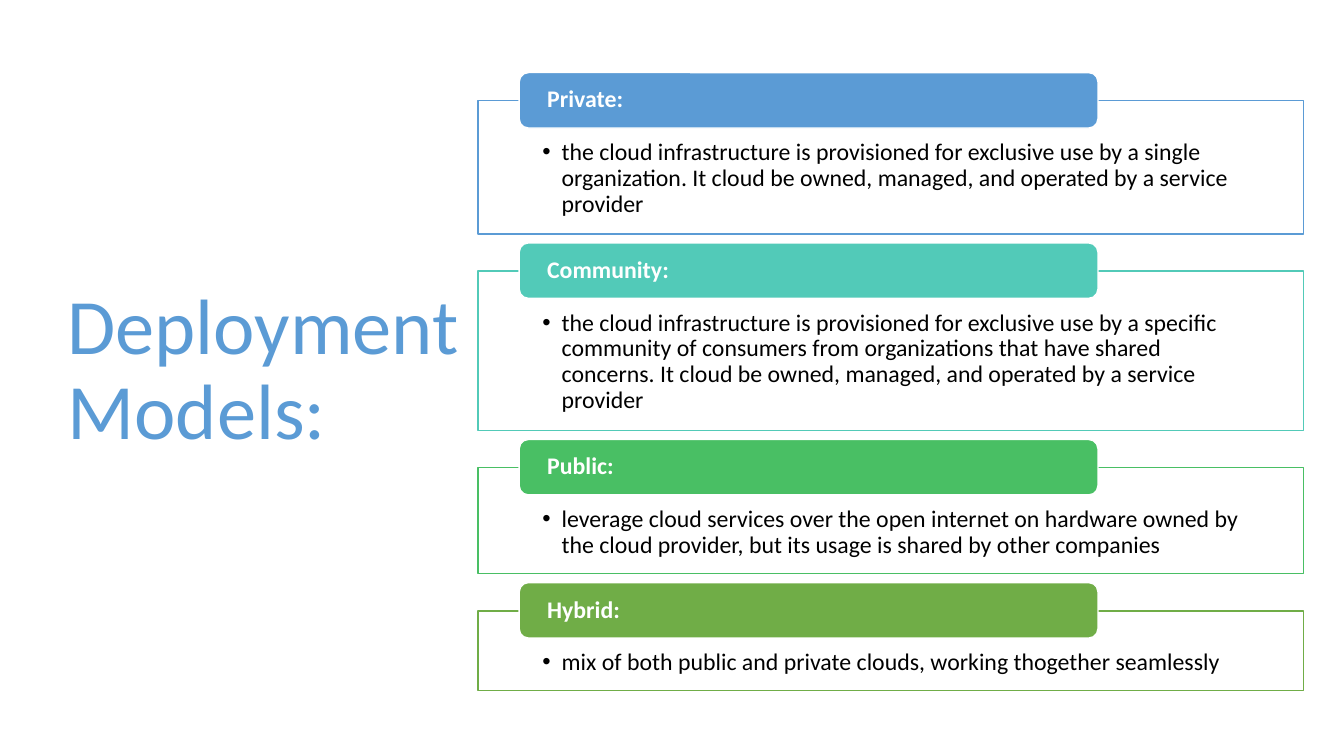
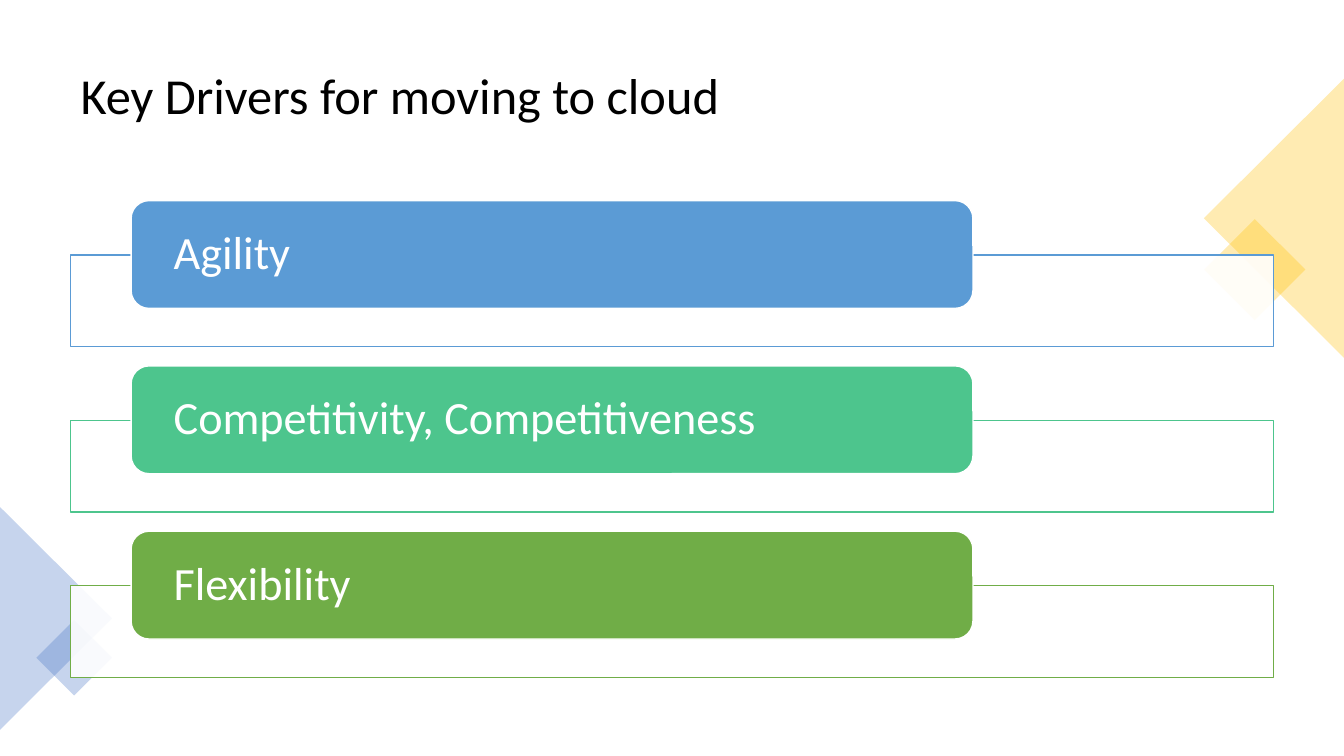
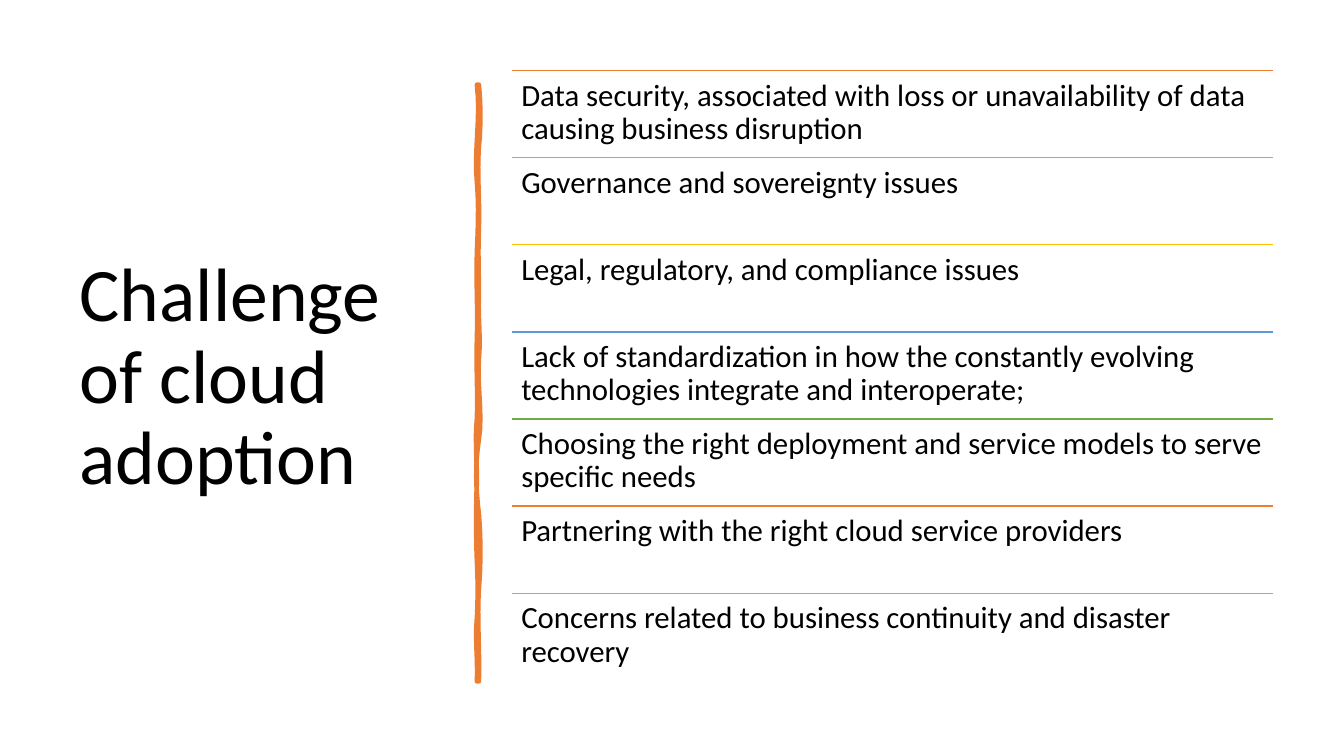
from lxml import etree
from pptx import Presentation
from pptx.dml.color import RGBColor
from pptx.enum import shapes, text
from pptx.oxml import ns
from pptx.util import Inches, Pt

FONT = "Calibri"
BLACK, WHITE = "000000", "FFFFFF"
BLUE, GREEN, ORANGE = "5B9BD5", "70AD47", "ED7D31"
GREY, GOLD, NAVY = "A5A5A5", "FFC000", "4472C4"
KIND = shapes.MSO_SHAPE
MIDDLE, TOP = text.MSO_ANCHOR.MIDDLE, text.MSO_ANCHOR.TOP


def add_shape(page, kind, frame, fill, line=None, opacity=100):
    shape = page.shapes.add_shape(kind, *map(Inches, frame))
    shape.shadow.inherit = False
    shape.fill.solid()
    shape.fill.fore_color.rgb = RGBColor.from_string(fill)
    if opacity < 100:
        color = shape.fill._xPr.find(".//" + ns.qn("a:srgbClr"))
        etree.SubElement(color, ns.qn("a:alpha")).set("val", str(opacity * 1000))
    if line:
        shape.line.color.rgb = RGBColor.from_string(line)
        shape.line.width = Pt(1)
    else:
        shape.line.fill.background()
    return shape


def write(shape, words, size, color=BLACK, anchor=MIDDLE,
          insets=(0.1, 0.05, 0.1, 0.05), bold=False, bullet=False):
    """Put one left-aligned paragraph into a shape; insets run left, top, right, bottom."""
    box = shape.text_frame
    box.word_wrap = True
    box.auto_size = text.MSO_AUTO_SIZE.NONE
    box.vertical_anchor = anchor
    box.margin_left, box.margin_top, box.margin_right, box.margin_bottom = map(Inches, insets)
    para = box.paragraphs[0]
    para.alignment = text.PP_ALIGN.LEFT
    para.line_spacing = 0.9
    if bullet:
        props = para._p.get_or_add_pPr()
        props.set("marL", str(Inches(0.19)))
        props.set("indent", str(Inches(-0.19)))
        etree.SubElement(props, ns.qn("a:buFont")).set("typeface", "Arial")
        etree.SubElement(props, ns.qn("a:buChar")).set("char", "•")
    span = para.add_run()
    span.text = words
    span.font.name = FONT
    span.font.size = Pt(size)
    span.font.bold = bold
    span.font.color.rgb = RGBColor.from_string(color)


deck = Presentation()
deck.slide_width, deck.slide_height = Inches(13.33), Inches(7.5)

# Pages and their titles
titles = [
    ("Deployment Models:", (0.57, 0.68, 4.16, 6.02), 56, BLUE),
    ("Key Drivers for moving to cloud", (0.7, 0.35, 11.93, 1.24), 36, BLACK),
    ("Challenge of cloud adoption", (0.69, 0.7, 3.74, 6.11), 54, BLACK),
]
pages = []
for words, frame, size, color in titles:
    page = deck.slides.add_slide(deck.slide_layouts[5])
    title = page.shapes.title
    title.left, title.top, title.width, title.height = map(Inches, frame)
    write(title, words, size, color)
    pages.append(page)
models_page, drivers_page, challenges_page = pages

# Corner diamonds behind the drivers
for kind, frame, angle, color in [
    (KIND.RECTANGLE, (12.09, 2.32, 0.71, 0.71), 45, GOLD),
    (KIND.ISOSCELES_TRIANGLE, (11.25, 1.47, 2.77, 1.39), 270, GOLD),
    (KIND.ISOSCELES_TRIANGLE, (-0.55, 5.58, 2.21, 1.11), 90, NAVY),
    (KIND.RECTANGLE, (0.47, 6.26, 0.53, 0.53), 45, NAVY),
]:
    add_shape(page=drivers_page, kind=kind, frame=frame, fill=color, opacity=30).rotation = angle

# Stacks of panels, each with a label on its top edge
models = [
    ("Private:", "5B9BD5", 1.32,
     "the cloud infrastructure is provisioned for exclusive use by a single organization. "
     "It cloud be owned, managed, and operated by a service provider"),
    ("Community:", "52CAB8", 1.58,
     "the cloud infrastructure is provisioned for exclusive use by a specific community of "
     "consumers from organizations that have shared concerns. "
     "It cloud be owned, managed, and operated by a service provider"),
    ("Public:", "49BF64", 1.05,
     "leverage cloud services over the open internet on hardware owned by the cloud provider, "
     "but its usage is shared by other companies"),
    ("Hybrid:", GREEN, 0.79,
     "mix of both public and private clouds, working thogether seamlessly"),
]
drivers = [
    ("Agility", BLUE, 0.91, ""),
    ("Competitivity, Competitiveness", "4DC58D", 0.91, ""),
    ("Flexibility", GREEN, 0.91, ""),
]
# page, items, panel left, top, width, gap; label left, rise, width, height, inset, size, bold
stacks = [
    (models_page, models, 4.74, 1, 8.19, 0.37, 5.15, 0.28, 5.74, 0.55, 0.25, 17, True),
    (drivers_page, drivers, 0.7, 2.53, 11.93, 0.73, 1.3, 0.54, 8.35, 1.07, 0.37, 33, False),
]
for (page, items, left, top, width, gap,
     label_left, rise, label_width, label_height, inset, size, bold) in stacks:
    for name, color, height, detail in items:
        panel = add_shape(page, KIND.RECTANGLE, (left, top, width, height), WHITE, color, 90)
        if detail:
            write(panel, detail, size, anchor=TOP, insets=(0.64, 0.39, 0.64, 0.13), bullet=True)
        label = add_shape(page, KIND.ROUNDED_RECTANGLE,
                          (label_left, top - rise, label_width, label_height), color, WHITE)
        write(label, name, size, WHITE, insets=(inset, 0, inset, 0), bold=bold)
        top += height + gap

# Hand-drawn bar: each edge is a run of curves (first bend, second bend, end height)
right_edge = [(0.02, 0.02, 1.46), (-0.02, 0.01, 2.26), (-0.01, 0, 2.94), (-0.01, 0.02, 3.56),
              (-0.02, 0.04, 4.36), (-0.04, -0.03, 5.1), (0.02, 0.02, 5.84), (-0.02, 0.01, 6.76)]
left_edge = [(0.01, -0.02, 6.13), (0.01, 0.01, 5.57), (-0.01, -0.01, 4.77), (0, -0.02, 4.15),
             (0.01, -0.01, 3.35), (0.01, -0.01, 2.5), (0.01, 0.02, 1.81), (-0.03, 0.04, 0.84)]
STEPS = 8
y = 0.84
points = [(4.75, y)]
for x, edge in [(4.75, right_edge), (4.73, left_edge)]:
    points.append((x, y))
    for bend_in, bend_out, end in edge:
        for step in range(1, STEPS + 1):
            t = step / STEPS
            sway = 3 * t * (1 - t) * ((1 - t) * bend_in + t * bend_out)
            points.append((x + sway, y + t * (end - y)))
        y = end
outline = [(Inches(x), Inches(y)) for x, y in points]
builder = challenges_page.shapes.build_freeform(*outline[0])
builder.add_line_segments(outline[1:], close=True)
bar = builder.convert_to_shape()
bar.shadow.inherit = False
bar.fill.solid()
bar.fill.fore_color.rgb = RGBColor.from_string(ORANGE)
bar.line.color.rgb = RGBColor.from_string(ORANGE)
bar.line.width = Pt(3.25)

# Ruled list of challenges
challenges = [
    "Data security, associated with loss or unavailability of data causing business disruption",
    "Governance and sovereignty issues",
    "Legal, regulatory, and compliance issues",
    "Lack of standardization in how the constantly evolving technologies integrate and interoperate;",
    "Choosing the right deployment and service models to serve specific needs",
    "Partnering with the right cloud service providers",
    "Concerns related to business continuity and disaster recovery",
]
rule_colors = [ORANGE, GREY, GOLD, BLUE, GREEN]
list_left, list_top, list_width, list_height = 5.08, 0.7, 7.55, 6.05
row_height = list_height / len(challenges)
for index, words in enumerate(challenges):
    top = list_top + index * row_height
    rule = challenges_page.shapes.add_connector(
        shapes.MSO_CONNECTOR.STRAIGHT, Inches(list_left), Inches(top),
        Inches(list_left + list_width), Inches(top))
    rule.line.color.rgb = RGBColor.from_string(rule_colors[index % len(rule_colors)])
    rule.line.width = Pt(1)
    etree.SubElement(rule._element.spPr, ns.qn("a:effectLst"))
    row = challenges_page.shapes.add_textbox(
        *map(Inches, (list_left, top, list_width, row_height)))
    write(row, words, 22, anchor=TOP, insets=(0.09, 0.09, 0.09, 0.09))

deck.save("out.pptx")
